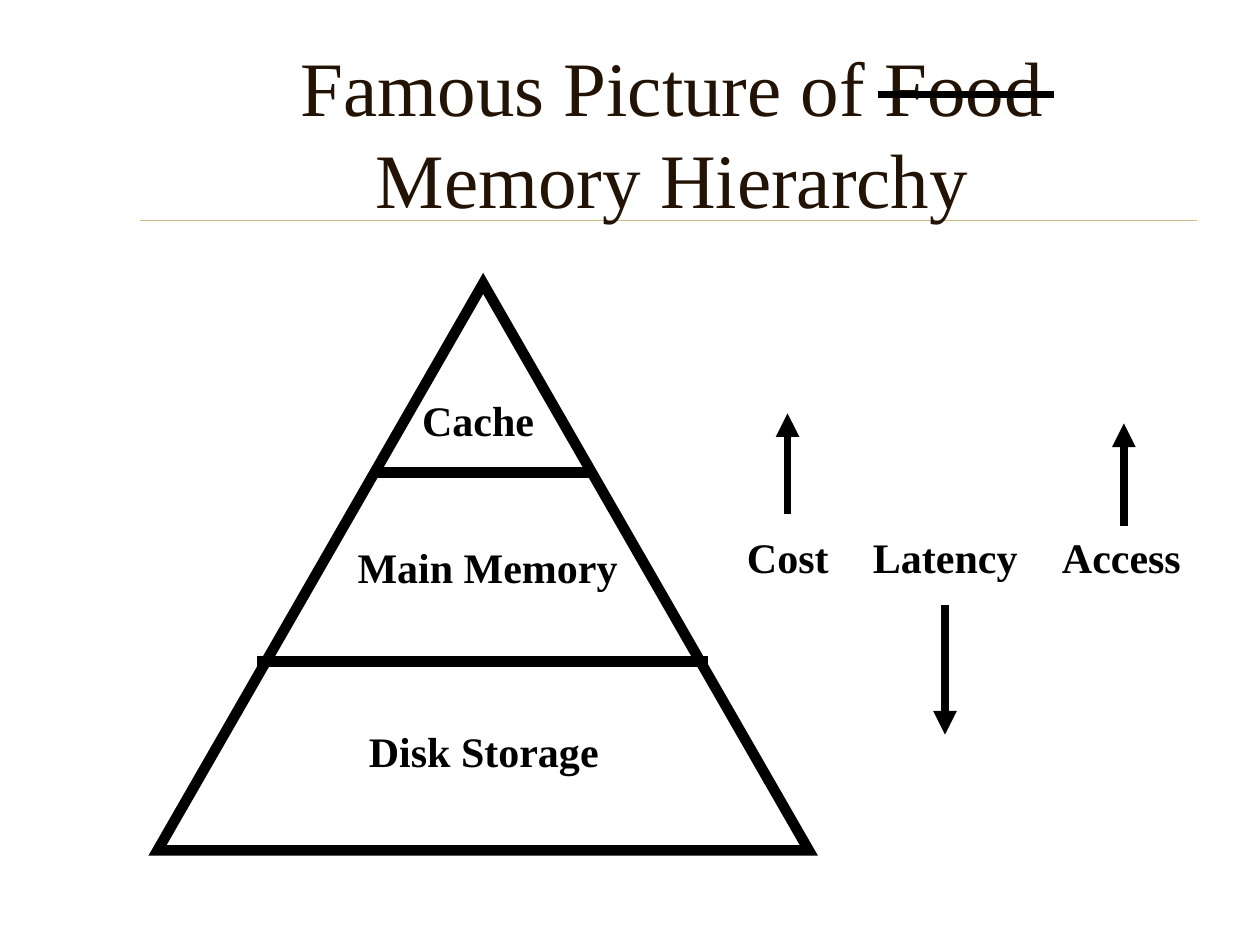
from lxml import etree
from pptx import Presentation
from pptx.dml.color import RGBColor
from pptx.enum import shapes, text
from pptx.oxml import ns
from pptx.util import Inches, Pt

BLACK = "000000"


def color(code):
    return RGBColor.from_string(code)


class Deck:
    """Holds the text style and the current slide."""

    label = {"name": "Times New Roman", "size": Pt(24), "bold": True}
    title = {"name": "Times New Roman", "size": Pt(44), "bold": False}

    def __init__(self, slide):
        self.slide = slide

    def text(self, words, box, style, ink=BLACK, wrap=False, inset=0.1,
             align=text.PP_ALIGN.CENTER, **form):
        shape = self.slide.shapes.add_textbox(*map(Inches, box))
        frame = shape.text_frame
        frame.word_wrap = wrap
        frame.margin_left = frame.margin_right = Inches(inset)
        for key, value in form.items():
            setattr(frame, key, value)
        para = frame.paragraphs[0]
        para.alignment = align
        run = para.add_run()
        run.text = words
        for key, value in style.items():
            setattr(run.font, key, value)
        run.font.color.rgb = color(ink)

    def stroke(self, shape, width, ink=BLACK):
        """Give a shape a line with square ends and sharp corners."""
        shape.line.width = Pt(width)
        shape.line.color.rgb = color(ink)
        edge = shape.line._get_or_add_ln()
        edge.set("cap", "sq")
        etree.SubElement(edge, ns.qn("a:miter")).set("lim", "800000")
        return edge

    def line(self, start, end, width, ink=BLACK, arrow=False):
        line = self.slide.shapes.add_connector(
            shapes.MSO_CONNECTOR.STRAIGHT, *map(Inches, start + end))
        edge = self.stroke(line, width, ink)
        etree.SubElement(line._element.spPr, ns.qn("a:effectLst"))
        if arrow:
            etree.SubElement(edge, ns.qn("a:tailEnd")).set("type", "triangle")

    def peak(self, box, width):
        """Draw an unfilled triangle."""
        shape = self.slide.shapes.add_shape(
            shapes.MSO_SHAPE.ISOSCELES_TRIANGLE, *map(Inches, box))
        shape.shadow.inherit = False
        shape.fill.background()
        self.stroke(shape, width)


def main():
    show = Presentation()
    show.slide_width, show.slide_height = Inches(10), Inches(7.5)
    deck = Deck(show.slides.add_slide(show.slide_layouts[6]))

    deck.line((1.11, 1.75), (9.5, 1.75), 0.25, "CBBD83")
    deck.text("Famous Picture of Food Memory Hierarchy",
              (1.17, 0.26, 8.33, 1.57), deck.title, "221304",
              wrap=True, inset=0.2, vertical_anchor=text.MSO_ANCHOR.MIDDLE)
    deck.line((7, 0.75), (8.33, 0.75), 4.5)

    deck.peak((1.25, 2.25, 5.17, 4.5), 6)
    for left, right, top in ((3, 4.67, 3.75), (2.08, 5.58, 5.25)):
        deck.line((left, top), (right, top), 6)

    grow = text.MSO_AUTO_SIZE.SHAPE_TO_FIT_TEXT
    for words, left, top, width in (("Cache", 3.23, 3.08, 1.13),
                                    ("Main Memory", 2.72, 4.25, 2.3),
                                    ("Disk Storage", 2.81, 5.71, 2.06)):
        deck.text(words, (left, top, width, 0.5), deck.label, auto_size=grow)

    for words, left, width, mid, start, end in (
            ("Cost", 5.83, 0.88, 6.25, 4.05, 3.28),
            ("Latency", 6.83, 1.38, 7.5, 4.83, 5.83),
            ("Access", 8.33, 1.18, 8.92, 4.14, 3.36)):
        deck.text(words, (left, 4.17, width, 0.5), deck.label,
                  align=text.PP_ALIGN.LEFT, auto_size=grow)
        deck.line((mid, start), (mid, end), 4.5, arrow=True)

    show.save("out.pptx")


if __name__ == "__main__":
    main()
